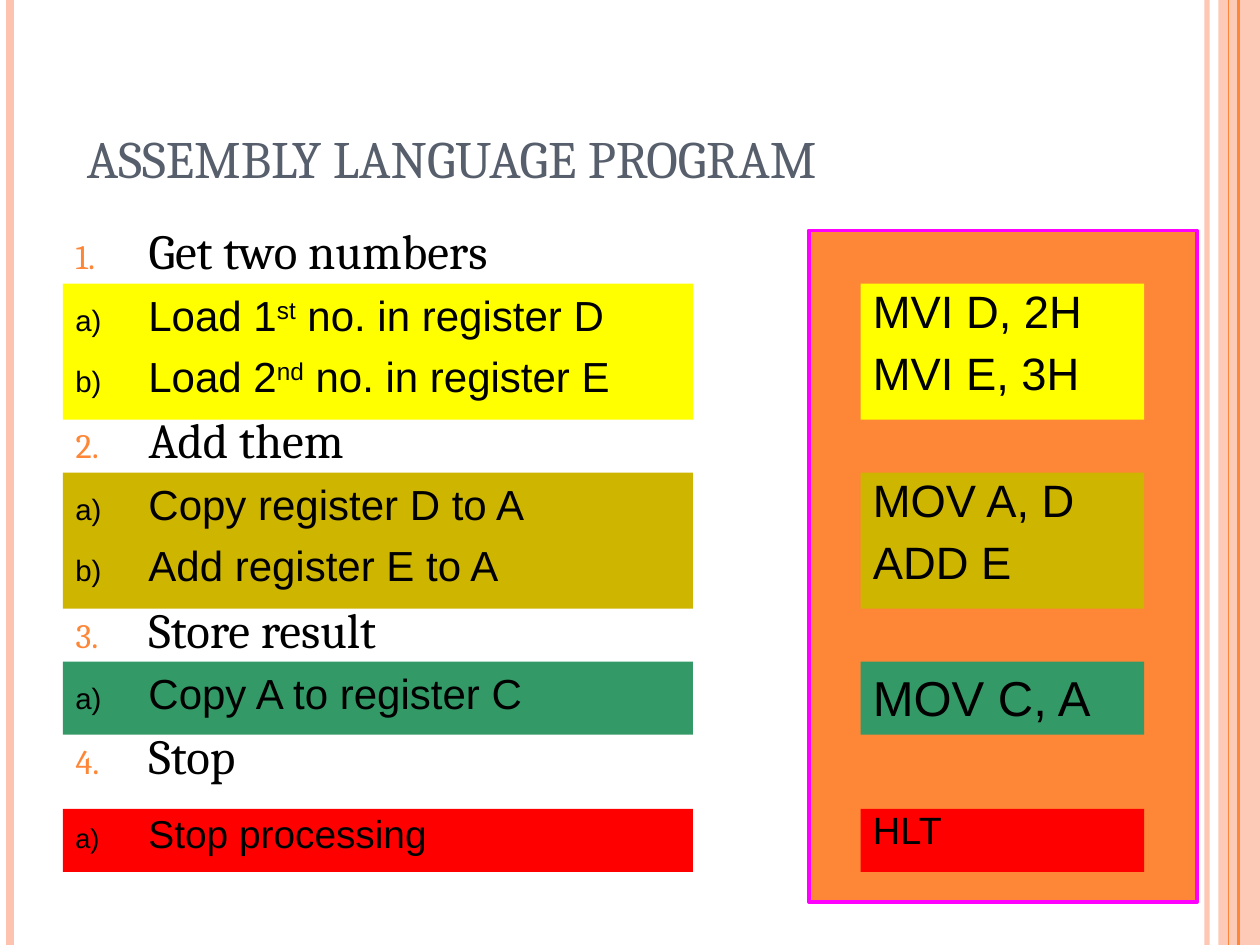
"""Build the assembly language program slide."""
from dataclasses import dataclass

from pptx import Presentation
from pptx.dml.color import RGBColor as Color
from pptx.enum.shapes import MSO_CONNECTOR as Connector, MSO_SHAPE as Shape
from pptx.enum.text import MSO_ANCHOR as Anchor, MSO_AUTO_SIZE as AutoSize, PP_ALIGN as Align
from pptx.oxml.ns import qn
from pptx.util import Inches, Pt
from lxml.etree import SubElement


@dataclass(frozen=True)
class Theme:
    orange: str = "FE8637"
    peach: str = "FEC3AE"
    magenta: str = "FF00FF"
    slate: str = "575F6D"
    black: str = "000000"
    yellow: str = "FFFF00"
    olive: str = "CEB500"
    green: str = "339966"
    red: str = "FF0000"
    serif: str = "Cambria"
    sans: str = "Arial"
    title: float = 30
    heading: float = 28
    step: float = 24
    last_step: float = 22.2
    code: float = 25.9
    code_large: float = 28
    code_small: float = 21.7


THEME = Theme()
RAILS = [(9.58, THEME.peach, 3, 93), (0.08, THEME.peach, 4.5, 100),
         (9.83, THEME.orange, 1.5, 100), (9.75, THEME.orange, 0.75, 100)]
HEADINGS = [("Get two numbers", 0), ("Add them", 78), ("Store result", 78), ("Stop", 42)]
STAGES = [
    (2.25, 1.08, THEME.yellow,
     ["Load 1^st^ no. in register D", "Load 2^nd^ no. in register E"], THEME.step, 1.0,
     ["MVI D, 2H", "MVI E, 3H"], THEME.code, 0.9),
    (3.75, 1.08, THEME.olive,
     ["Copy register D to A", "Add register E to A"], THEME.step, 1.0,
     ["MOV A, D", "ADD E"], THEME.code, 0.9),
    (5.25, 0.58, THEME.green,
     ["Copy A to register C"], THEME.step, 1.0,
     ["MOV C, A"], THEME.code_large, 1.0),
    (6.42, 0.5, THEME.red,
     ["Stop processing"], THEME.last_step, 0.9,
     ["HLT"], THEME.code_small, 0.8),
]


def set_alpha(fill, percent):
    """Make a solid fill partly transparent."""
    color = fill._xPr.find(qn("a:solidFill"))[0]
    SubElement(color, qn("a:alpha")).set("val", str(percent * 1000))


def add_rail(page, left, color, width, alpha):
    """Draw a vertical line over the full height of the page."""
    rail = page.shapes.add_connector(Connector.STRAIGHT, Inches(left), 0, Inches(left), Inches(7.5))
    rail.line.color.rgb = Color.from_string(color)
    rail.line.width = Pt(width)
    SubElement(rail._element.spPr, qn("a:effectLst"))
    if alpha < 100:
        set_alpha(rail.line.fill, alpha)


def add_block(page, left, top, width, height, color):
    """Add a filled rectangle with top-left text and no outline."""
    block = page.shapes.add_shape(
        Shape.RECTANGLE, Inches(left), Inches(top), Inches(width), Inches(height))
    block.shadow.inherit = False
    block.fill.solid()
    block.fill.fore_color.rgb = Color.from_string(color)
    block.line.fill.background()
    block.text_frame.word_wrap = True
    block.text_frame.vertical_anchor = Anchor.TOP
    return block


def style_font(para, name, size, color):
    """Set the font of a whole paragraph."""
    para.font.name = name
    para.font.size = Pt(size)
    para.font.color.rgb = Color.from_string(color)


def set_indent(para, indent):
    """Hang the first line of a paragraph by the given inches."""
    properties = para._p.get_or_add_pPr()
    properties.set("marL", str(Inches(indent)))
    properties.set("indent", str(-Inches(indent)))
    return properties


def number_paragraph(para, scheme, color):
    """Give a paragraph an automatic number and a hanging indent."""
    properties = set_indent(para, 0.58)
    SubElement(SubElement(properties, qn("a:buClr")), qn("a:srgbClr")).set("val", color)
    SubElement(properties, qn("a:buSzPct")).set("val", "70000")
    SubElement(properties, qn("a:buAutoNum")).set("type", scheme)


def add_paragraph(frame, index, text, spacing, before):
    """Add a left-aligned paragraph, raising text between carets."""
    para = frame.add_paragraph() if index else frame.paragraphs[0]
    para.alignment = Align.LEFT
    para.line_spacing = spacing
    para.space_before = Pt(before if index else 0)
    for position, part in enumerate(text.split("^")):
        span = para.add_run()
        span.text = part
        if position % 2:
            span.font._element.set("baseline", "30000")
    return para


def place(box, left, top, width, height):
    """Move and size a placeholder."""
    box.left, box.top = Inches(left), Inches(top)
    box.width, box.height = Inches(width), Inches(height)
    box.text_frame.auto_size = AutoSize.NONE
    box.text_frame.word_wrap = True


def fill_title(box, text):
    """Write the slide title."""
    place(box, 0.5, 0.3, 8.17, 1.25)
    frame = box.text_frame
    frame.vertical_anchor = Anchor.BOTTOM
    frame.margin_left = Inches(0.19)
    style_font(add_paragraph(frame, 0, text, 1.0, 0), THEME.serif, THEME.title, THEME.slate)


def fill_headings(box):
    """Write the numbered headings, spaced to leave room for the steps."""
    place(box, 0.5, 1.75, 4, 4.95)
    box.text_frame.vertical_anchor = Anchor.TOP
    for index, (text, before) in enumerate(HEADINGS):
        para = add_paragraph(box.text_frame, index, text, 0.9, before)
        number_paragraph(para, "arabicPeriod", THEME.orange)
        style_font(para, THEME.serif, THEME.heading, THEME.black)


def add_steps(page, top, height, color, steps, size, spacing):
    """Add a block of lettered steps."""
    frame = add_block(page, 0.5, top, 5, height, color).text_frame
    for index, text in enumerate(steps):
        para = add_paragraph(frame, index, text, spacing, 6)
        number_paragraph(para, "alphaLcParenR", THEME.black)
        style_font(para, THEME.sans, size, THEME.black)


def add_code(page, top, height, color, lines, size, spacing):
    """Add a block of assembly instructions."""
    frame = add_block(page, 6.83, top, 2.25, height, color).text_frame
    for index, text in enumerate(lines):
        para = add_paragraph(frame, index, text, spacing, 7)
        set_indent(para, 0.38)
        style_font(para, THEME.sans, size, THEME.black)


def main():
    """Build and save the slide."""
    deck = Presentation()
    deck.slide_width, deck.slide_height = Inches(10), Inches(7.5)
    page = deck.slides.add_slide(deck.slide_layouts[1])
    fill_title(page.shapes.title, "ASSEMBLY LANGUAGE PROGRAM")
    fill_headings(page.placeholders[1])

    band = add_block(page, 9.67, 0, 0.33, 7.5, THEME.peach)
    set_alpha(band.fill, 87)
    for rail in RAILS:
        add_rail(page, *rail)

    panel = add_block(page, 6.42, 1.83, 3.08, 5.33, THEME.orange)
    panel.line.color.rgb = Color.from_string(THEME.magenta)
    panel.line.width = Pt(2.25)
    for top, height, color, steps, step_size, step_spacing, code, code_size, code_spacing in STAGES:
        add_steps(page, top, height, color, steps, step_size, step_spacing)
        add_code(page, top, height, color, code, code_size, code_spacing)
    deck.save("out.pptx")


if __name__ == "__main__":
    main()
